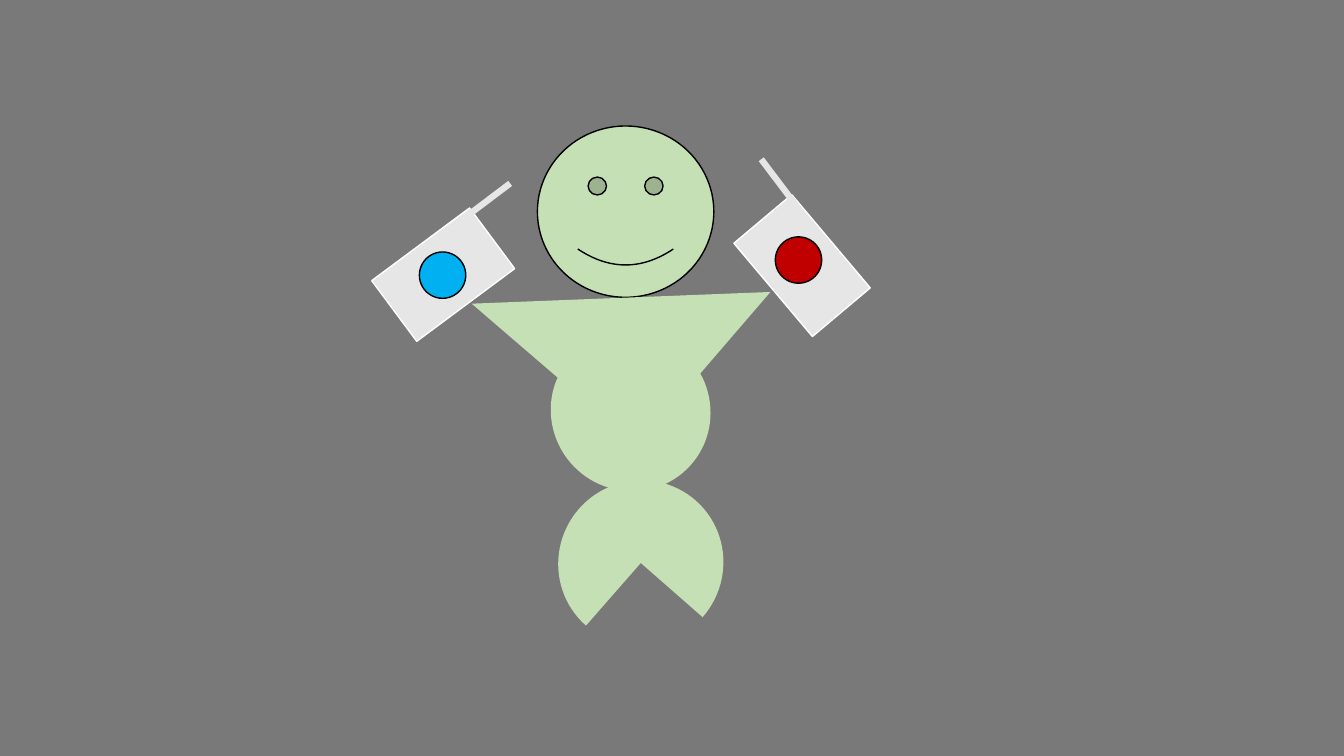
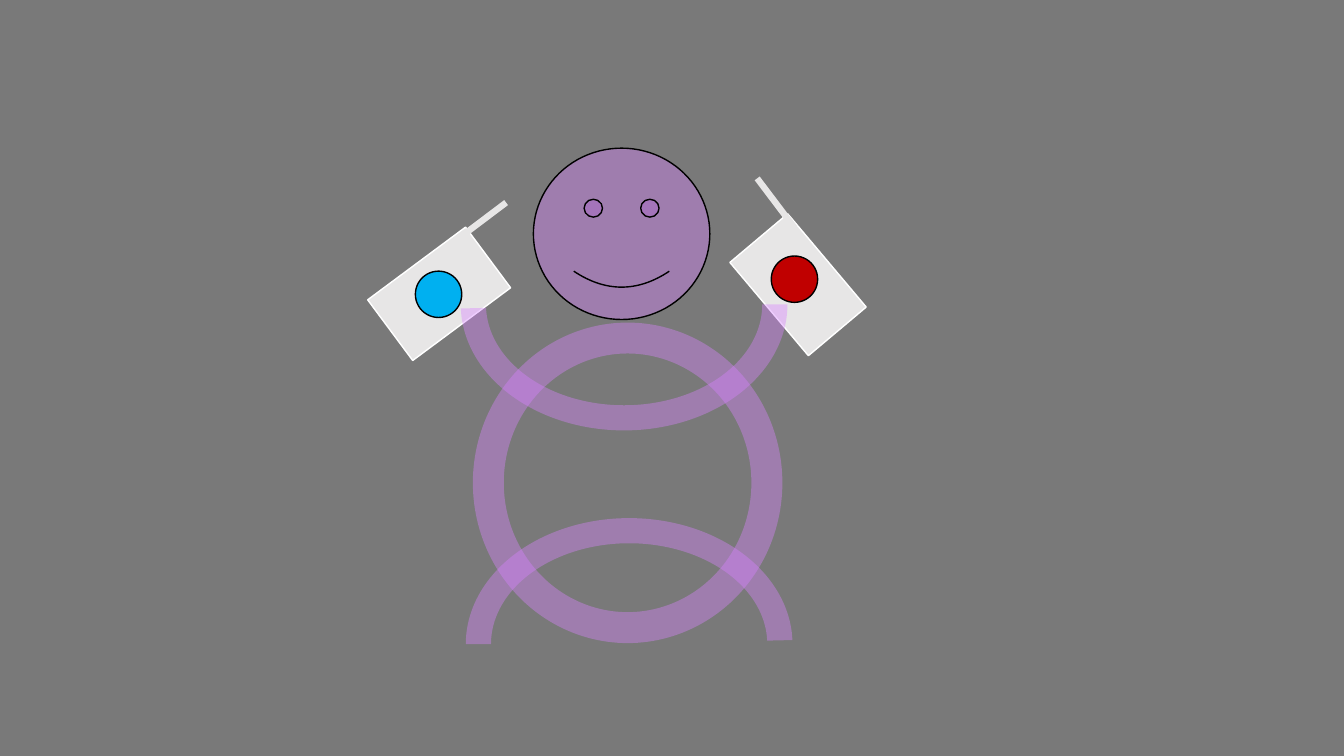
from lxml import etree
from pptx import Presentation
from pptx import util as u
from pptx.dml.color import RGBColor
from pptx.enum import shapes
from pptx.oxml.ns import qn

# Shared colours
GREY = RGBColor(0x79, 0x79, 0x79)
GREEN = RGBColor(0xC5, 0xE0, 0xB4)
PURPLE = RGBColor(0xD8, 0x83, 0xFF)
CLOTH = RGBColor(0xE7, 0xE6, 0xE6)
WHITE = RGBColor(0xFF, 0xFF, 0xFF)
BLACK = RGBColor(0x00, 0x00, 0x00)
RED = RGBColor(0xC0, 0x00, 0x00)
BLUE = RGBColor(0x00, 0xB0, 0xF0)

KIND = shapes.MSO_SHAPE


class Figure:
    """Draws the figures of the deck, each one grouped on its own page."""

    def __init__(self, deck):
        self.deck = deck
        self.group = None

    def new_page(self):
        page = self.deck.slides.add_slide(self.deck.slide_layouts[6])
        self.group = page.shapes.add_group_shape()

    def shape(self, kind, left, top, width, height, fill, line=None,
              rotation=0, opacity=100, adjust=()):
        box = self.group.shapes.add_shape(
            kind, u.Inches(left), u.Inches(top),
            u.Inches(width), u.Inches(height))
        box.shadow.inherit = False
        box.rotation = rotation
        for index, value in enumerate(adjust):
            box.adjustments[index] = value
        box.fill.solid()
        box.fill.fore_color.rgb = fill
        if opacity < 100:
            color = box._element.spPr.find(qn("a:solidFill"))[0]
            alpha = etree.SubElement(color, qn("a:alpha"))
            alpha.set("val", str(opacity * 1000))
        if line is None:
            box.line.fill.background()
        else:
            box.line.color.rgb = line
            box.line.width = u.Pt(1)

    def pole(self, start_x, start_y, end_x, end_y):
        pole = self.group.shapes.add_connector(
            shapes.MSO_CONNECTOR.STRAIGHT,
            u.Inches(start_x), u.Inches(start_y),
            u.Inches(end_x), u.Inches(end_y))
        pole.line.color.rgb = CLOTH
        pole.line.width = u.Pt(4.5)
        etree.SubElement(pole._element.spPr, qn("a:effectLst"))

    def face(self, left, top, fill, opacity=100):
        self.shape(KIND.SMILEY_FACE, left, top, 1.75, 1.7, fill, BLACK,
                   opacity=opacity)

    def flags(self, x, y):
        """Both flags, placed from the left edge and top of the pair."""
        for left, top, turn in ((3.56, 0.68, 49.9), (0, 0.77, 143.4)):
            self.shape(KIND.RECTANGLE, x + left, y + top, 1.21, 0.75,
                       CLOTH, WHITE, rotation=turn)
        for left, top, color in ((3.9, 0.77, RED), (0.37, 0.92, BLUE)):
            self.shape(KIND.OVAL, x + left, y + top, 0.46, 0.46,
                       color, BLACK)
        self.pole(x + 4.13, y + 0.49, x + 3.76, y)
        self.pole(x + 0.62, y + 0.73, x + 1.27, y + 0.24)


deck = Presentation()
deck.slide_width = u.Inches(13.33)
deck.slide_height = u.Inches(7.5)
backdrop = deck.slide_master.background.fill
backdrop.solid()
backdrop.fore_color.rgb = GREY
figure = Figure(deck)

# Page 1: solid green figure
figure.new_page()
figure.face(5.33, 1.25, GREEN)
figure.flags(3.79, 1.58)
figure.shape(KIND.PIE, 5.53, 4.77, 1.65, 1.63, GREEN, rotation=131.2)
figure.shape(KIND.TEAR, 5.47, 3.28, 1.57, 1.6, GREEN, rotation=315.9)
figure.shape(KIND.RIGHT_TRIANGLE, 5.15, 1.87, 2.02, 2.17, GREEN,
             rotation=310.7)

# Page 2: translucent purple figure with ring body, legs and arms
figure.new_page()
figure.face(5.29, 1.47, PURPLE, opacity=40)
figure.flags(3.75, 1.77)
figure.shape(KIND.DONUT, 4.69, 3.2, 3.07, 3.18, PURPLE, opacity=40,
             adjust=(0.1,))
for left, top, turn in ((4.62, 5.14, 0), (4.57, 1.77, 180)):
    figure.shape(KIND.BLOCK_ARC, left, top, 3.24, 2.5, PURPLE,
                 rotation=turn, opacity=40, adjust=(108, 215.15, 0.1))

deck.save("out.pptx")
